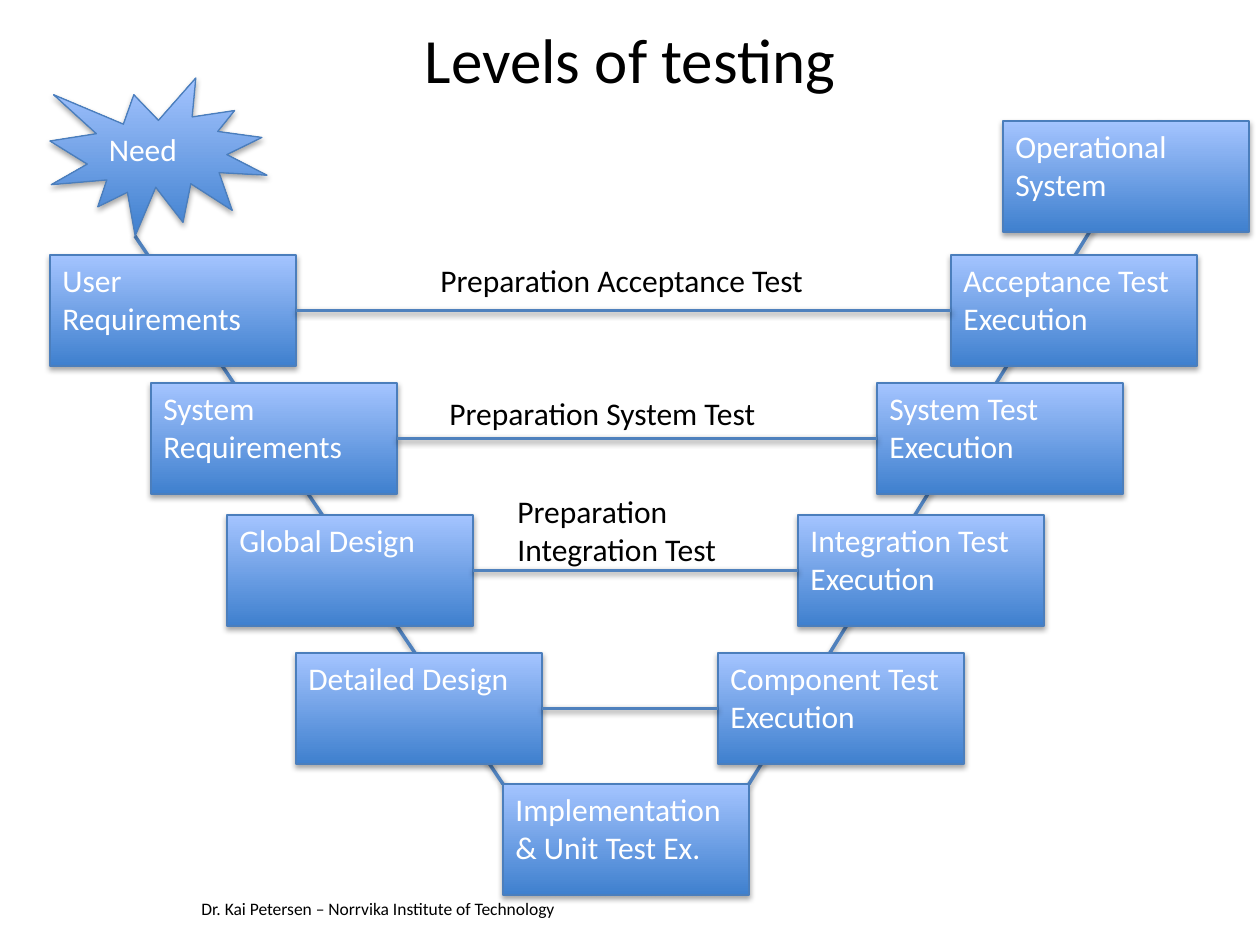
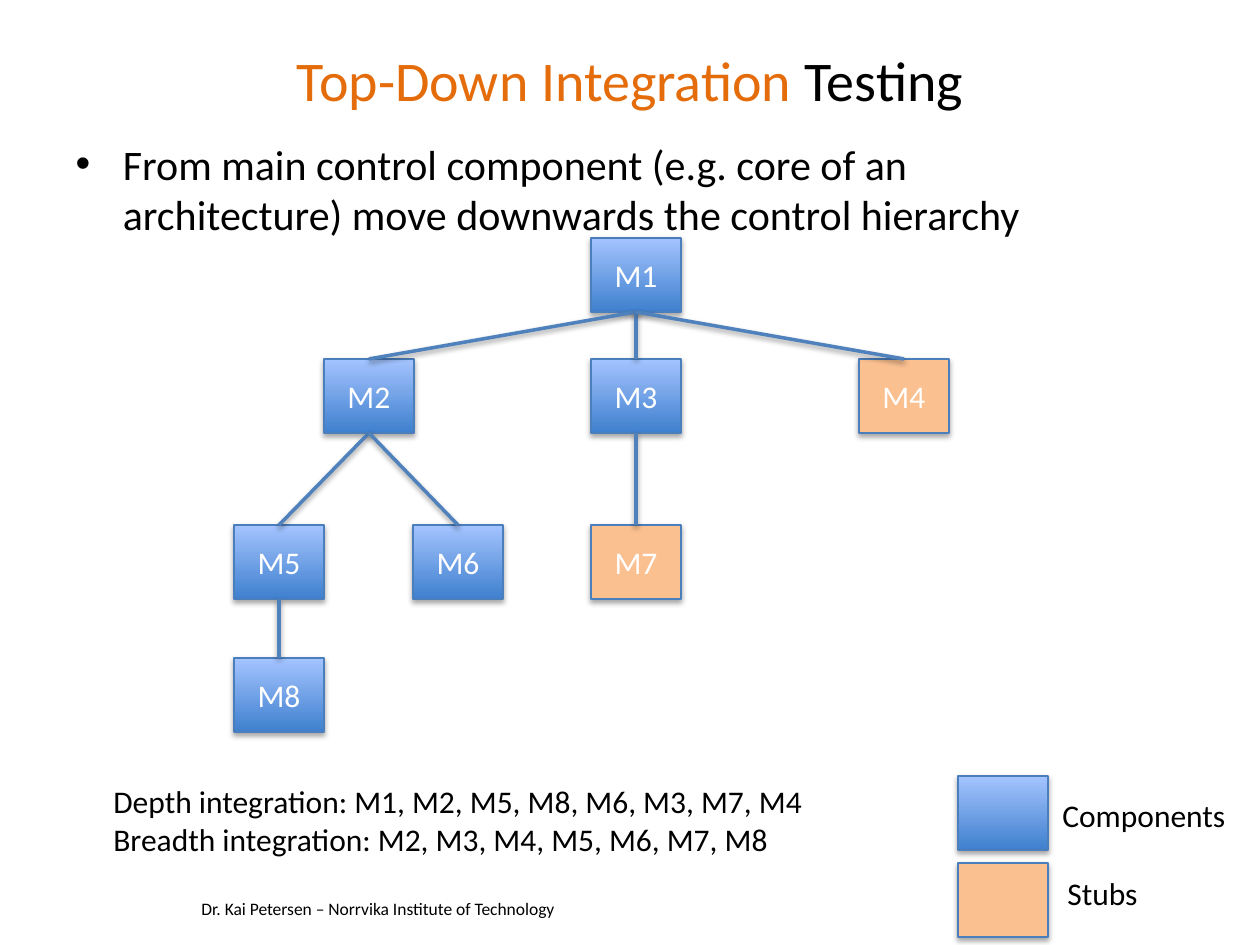
"""Build two slides on software testing: the V-model and top-down integration."""
from dataclasses import dataclass

from lxml import etree
from pptx import Presentation
from pptx.dml.color import RGBColor
from pptx.enum.shapes import MSO_CONNECTOR, MSO_SHAPE
from pptx.enum.text import MSO_ANCHOR, MSO_AUTO_SIZE, PP_ALIGN
from pptx.oxml.ns import qn
from pptx.util import Emu, Inches, Pt

RECTANGLE = MSO_SHAPE.RECTANGLE
BURST = MSO_SHAPE.EXPLOSION1
STRAIGHT = MSO_CONNECTOR.STRAIGHT
LEFT, CENTER = PP_ALIGN.LEFT, PP_ALIGN.CENTER
TOP, MIDDLE = MSO_ANCHOR.TOP, MSO_ANCHOR.MIDDLE
FIT_SHAPE, NO_FIT = MSO_AUTO_SIZE.SHAPE_TO_FIT_TEXT, MSO_AUTO_SIZE.NONE

BLACK = RGBColor(0x00, 0x00, 0x00)
WHITE = RGBColor(0xFF, 0xFF, 0xFF)
ORANGE = RGBColor(0xE4, 0x6C, 0x0A)
STUB = RGBColor(0xFA, 0xC0, 0x90)
BLUE_DARK = RGBColor(0x3F, 0x80, 0xCE)
BLUE_LIGHT = RGBColor(0xA4, 0xC4, 0xFF)
OUTLINE = RGBColor(0x4B, 0x7E, 0xBC)
CONNECTOR = RGBColor(0x4F, 0x81, 0xBD)

FONT = "Calibri"
FOOTER = "Dr. Kai Petersen – Norrvika Institute of Technology"
EMU_PER_PIXEL = 914400 / 126
TITLE_ONLY, TITLE_AND_BODY = 5, 1
TOP_SITE, LEFT_SITE, BOTTOM_SITE, RIGHT_SITE = range(4)
BOX_WIDTH, BOX_HEIGHT = 246, 111
NODE_WIDTH, NODE_HEIGHT = 90, 74


@dataclass(frozen=True)
class Area:
    """A rectangle in pixels."""
    left: int
    top: int
    width: int
    height: int

    def to_emu(self):
        """Return the four lengths in EMU."""
        return [pixels(n) for n in (self.left, self.top, self.width, self.height)]


@dataclass(frozen=True)
class Label:
    """A free text with its area."""
    text: str
    area: Area


@dataclass(frozen=True)
class Level:
    """One V-model level: a design box joined to a test box."""
    top: int
    design_left: int
    design: str
    test_left: int
    test: str


@dataclass(frozen=True)
class Module:
    """A node of the control hierarchy."""
    name: str
    left: int
    top: int
    parent: str = ""
    is_stub: bool = False


LEVELS = (
    Level(255, 50, "User Requirements", 951, "Acceptance Test Execution"),
    Level(383, 151, "System Requirements", 877, "System Test Execution"),
    Level(515, 227, "Global Design", 798, "Integration Test Execution"),
    Level(653, 296, "Detailed Design", 718, "Component Test Execution"),
)
PREPARATIONS = (
    Label("Preparation Acceptance Test", Area(428, 255, 404, 50)),
    Label("Preparation System Test", Area(437, 388, 404, 50)),
    Label("Preparation Integration Test", Area(505, 486, 261, 89)),
)
MODULES = (
    Module("M1", 591, 238),
    Module("M2", 324, 359, "M1"),
    Module("M3", 591, 359, "M1"),
    Module("M4", 859, 359, "M1", True),
    Module("M5", 234, 525, "M2"),
    Module("M6", 413, 525, "M2"),
    Module("M8", 234, 658, "M5"),
    Module("M7", 591, 525, "M3", True),
)
INTEGRATION_LABELS = (
    Label("Stubs", Area(1055, 868, 128, 50)),
    Label("Components", Area(1050, 790, 213, 50)),
    Label("Depth integration: M1, M2, M5, M8, M6, M3, M7, M4\n"
          "Breadth integration: M2, M3, M4, M5, M6, M7, M8", Area(101, 776, 804, 89)),
)


def pixels(count: float) -> Emu:
    """Turn pixels into EMU."""
    return Emu(round(count * EMU_PER_PIXEL))


def write_text(paragraph, text: str, *, size: float = 18, color: RGBColor = BLACK,
               alignment=LEFT) -> None:
    """Add a formatted run to a paragraph."""
    paragraph.alignment = alignment
    run = paragraph.add_run()
    run.text = text
    run.font.name = FONT
    run.font.size = Pt(size)
    run.font.color.rgb = color


def add_shadow(shape, distance: int, opacity: int) -> None:
    """Give a shape or connector a soft shadow below it."""
    effects = etree.SubElement(shape.element.spPr, qn("a:effectLst"))
    shadow = etree.SubElement(effects, qn("a:outerShdw"), blurRad="40000",
                              dist=str(distance), dir="5400000", rotWithShape="0")
    color = etree.SubElement(shadow, qn("a:srgbClr"), val=str(BLACK))
    etree.SubElement(color, qn("a:alpha"), val=str(opacity * 1000))


def add_box(slide, area: Area, text: str = "", *, kind=RECTANGLE, is_stub: bool = False,
            alignment=LEFT, anchor=TOP):
    """Draw a shadowed shape, blue or stub coloured."""
    shape = slide.shapes.add_shape(kind, *area.to_emu())
    if is_stub:
        shape.fill.solid()
        shape.fill.fore_color.rgb = STUB
    else:
        shape.fill.gradient()
        shape.fill.gradient_angle = 90
        for stop, color in zip(shape.fill.gradient_stops, (BLUE_DARK, BLUE_LIGHT)):
            stop.color.rgb = color
    shape.line.color.rgb = OUTLINE
    shape.line.width = Pt(0.75)
    add_shadow(shape, 23000, 35)
    if text:
        shape.text_frame.word_wrap = True
        shape.text_frame.vertical_anchor = anchor
        write_text(shape.text_frame.paragraphs[0], text, color=WHITE, alignment=alignment)
    return shape


def add_line(slide, start: tuple[int, int] = (0, 0), end: tuple[int, int] = (0, 0)):
    """Draw a shadowed straight connector."""
    points = [pixels(n) for n in (*start, *end)]
    line = slide.shapes.add_connector(STRAIGHT, *points)
    line.line.color.rgb = CONNECTOR
    line.line.width = Pt(2)
    add_shadow(line, 20000, 38)
    return line


def join(slide, first, first_site: int, second, second_site: int) -> None:
    """Glue a line between two shapes."""
    line = add_line(slide)
    line.begin_connect(first, first_site)
    line.end_connect(second, second_site)


def add_label(slide, label: Label, *, size: float = 18) -> None:
    """Draw a text box with one paragraph a line."""
    frame = slide.shapes.add_textbox(*label.area.to_emu()).text_frame
    frame.word_wrap = True
    frame.auto_size = FIT_SHAPE
    for index, text in enumerate(label.text.split("\n")):
        paragraph = frame.add_paragraph() if index else frame.paragraphs[0]
        write_text(paragraph, text, size=size)


def place(placeholder, area: Area, anchor):
    """Move a placeholder and return its first paragraph."""
    placeholder.left, placeholder.top, placeholder.width, placeholder.height = area.to_emu()
    placeholder.text_frame.vertical_anchor = anchor
    placeholder.text_frame.auto_size = NO_FIT
    return placeholder.text_frame.paragraphs[0]


def start_slide(presentation, layout: int, title_height: int):
    """Add a slide with footer and return it with its title paragraph."""
    slide = presentation.slides.add_slide(presentation.slide_layouts[layout])
    add_label(slide, Label(FOOTER, Area(189, 892, 722, 34)), size=10)
    return slide, place(slide.shapes.title, Area(63, 0, 1134, title_height), MIDDLE)


def build_levels(presentation) -> None:
    """Build the V-model slide."""
    slide, title = start_slide(presentation, TITLE_ONLY, 117)
    write_text(title, "Levels of testing", size=36, alignment=CENTER)
    bottom = Area(503, 784, BOX_WIDTH, BOX_HEIGHT)
    add_line(slide, (bottom.left, bottom.top), (135, 236))
    add_line(slide, (bottom.left + BOX_WIDTH, bottom.top), (1158, 121))
    add_box(slide, Area(1003, 121, BOX_WIDTH, BOX_HEIGHT), "Operational System")
    for level in LEVELS:
        design = add_box(slide, Area(level.design_left, level.top, BOX_WIDTH, BOX_HEIGHT),
                         level.design)
        test = add_box(slide, Area(level.test_left, level.top, BOX_WIDTH, BOX_HEIGHT),
                       level.test)
        join(slide, design, RIGHT_SITE, test, LEFT_SITE)
    add_box(slide, bottom, "Implementation & Unit Test Ex.")
    add_box(slide, Area(50, 78, 217, 158), "Need", kind=BURST)
    for label in PREPARATIONS:
        add_label(slide, label)


def build_integration(presentation) -> None:
    """Build the top-down integration slide."""
    slide, title = start_slide(presentation, TITLE_AND_BODY, 158)
    write_text(title, "Top-Down Integration", size=32, color=ORANGE, alignment=CENTER)
    write_text(title, " Testing", size=32, alignment=CENTER)
    body = place(slide.placeholders[1], Area(63, 132, 1043, 134), TOP)
    write_text(body, "From main control component (e.g. core of an architecture) "
               "move downwards the control hierarchy", size=24)
    nodes = {
        module.name: add_box(slide, Area(module.left, module.top, NODE_WIDTH, NODE_HEIGHT),
                             module.name, is_stub=module.is_stub,
                             alignment=CENTER, anchor=MIDDLE)
        for module in MODULES
    }
    for module in MODULES:
        if module.parent:
            join(slide, nodes[module.parent], BOTTOM_SITE, nodes[module.name], TOP_SITE)
    for top, is_stub in ((863, True), (776, False)):
        add_box(slide, Area(958, top, NODE_WIDTH, NODE_HEIGHT), is_stub=is_stub)
    for label in INTEGRATION_LABELS:
        add_label(slide, label)


def main() -> None:
    """Build and save the presentation."""
    presentation = Presentation()
    presentation.slide_width = Inches(10)
    presentation.slide_height = Inches(7.5)
    build_levels(presentation)
    build_integration(presentation)
    presentation.save("out.pptx")


main()
